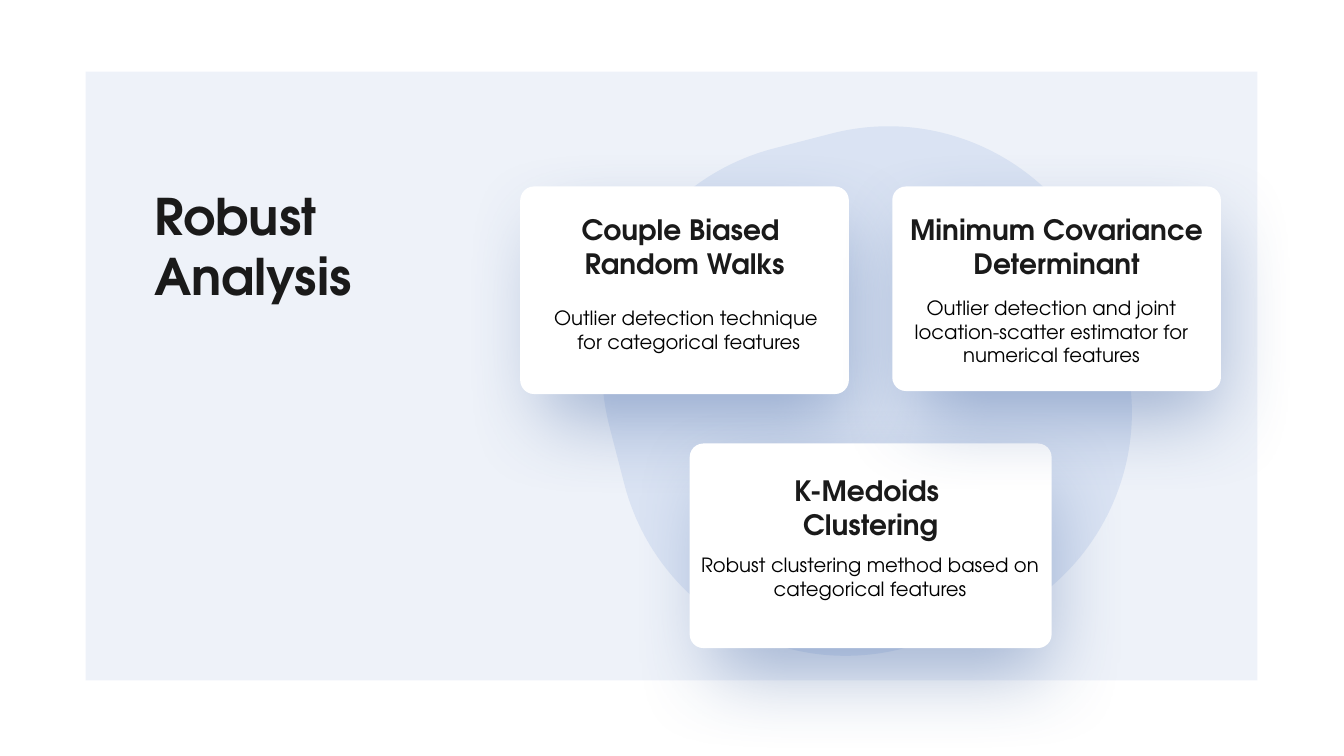
import pptx
import pptx.dml.color
import pptx.enum.shapes
import pptx.enum.text
import pptx.oxml
import pptx.oxml.ns
import pptx.util
from pptx.util import Inches

COLORS = {
    "panel": "4472C4",
    "blob": "DAE3F3",
    "card": "FFFFFF",
    "shadow": "2F5597",
    "heading": "1A1A1A",
    "body": "000000",
}
FONT = "TeX Gyre Adventor"
MIDDLE = pptx.enum.text.MSO_ANCHOR.MIDDLE
TOP = pptx.enum.text.MSO_ANCHOR.TOP
CENTER = pptx.enum.text.PP_ALIGN.CENTER
LEFT = pptx.enum.text.PP_ALIGN.LEFT
RGB = pptx.dml.color.RGBColor.from_string
NAMESPACE = pptx.oxml.ns.nsdecls("a")


def add_text(shapes, box, lines, size, color, bold, anchor, alignment):
    """Add a wrapped text box with one paragraph per line."""
    shape = shapes.add_textbox(*map(Inches, box))
    frame = shape.text_frame
    frame.word_wrap = True
    frame.auto_size = pptx.enum.text.MSO_AUTO_SIZE.SHAPE_TO_FIT_TEXT
    frame.vertical_anchor = anchor
    frame.text = "\n".join(lines)
    font_format = {"name": FONT, "size": pptx.util.Pt(size), "bold": bold}
    for paragraph in frame.paragraphs:
        paragraph.alignment = alignment
        font = paragraph.runs[0].font
        for name, value in font_format.items():
            setattr(font, name, value)
        font.color.rgb = RGB(COLORS[color])


def paint(shape, color):
    shape.shadow.inherit = False
    shape.fill.solid()
    shape.fill.fore_color.rgb = RGB(COLORS[color])
    shape.line.fill.background()


presentation = pptx.Presentation()
presentation.slide_width = Inches(13.33)
presentation.slide_height = Inches(7.5)
slide = presentation.slides.add_slide(presentation.slide_layouts[6])
shape_types = pptx.enum.shapes.MSO_SHAPE

# Pale panel
panel = slide.shapes.add_shape(
    shape_types.RECTANGLE, Inches(0.85), Inches(0.71), Inches(11.62), Inches(6.04))
paint(panel, "panel")
panel_color = panel.fill._xPr.find(".//" + pptx.oxml.ns.qn("a:srgbClr"))
panel_color.append(pptx.oxml.parse_xml(f'<a:alpha {NAMESPACE} val="9000"/>'))

# Blob: one Bezier corner, given from the centre, turned by 90 degrees four times
center_x, center_y = 8.6, 3.88
corner = [(0.37, 2.55), (-0.83, 2.87), (-2.07, 2.16), (-2.4, 0.95)]
outline = []
for turn in range(4):
    outline += [(Inches(center_x + x), Inches(center_y + y)) for x, y in corner]
    corner = [(-y, x) for x, y in corner]
builder = slide.shapes.build_freeform(*outline[0])
builder.add_line_segments(outline[1:], close=True)
blob = builder.convert_to_shape()
paint(blob, "blob")

# Each corner's three line segments become one curve
segments = list(blob._element.iter(pptx.oxml.ns.qn("a:lnTo")))
for start in range(0, len(segments), 4):
    curve = pptx.oxml.parse_xml(f"<a:cubicBezTo {NAMESPACE}/>")
    segments[start].addprevious(curve)
    for segment in segments[start:start + 3]:
        curve.append(segment[0])
        segment.getparent().remove(segment)

# Cards: card box, heading top and lines, body box and lines
cards = [
    ((5.16, 1.85, 3.26, 2.06), 2.06, ["Couple Biased ", "Random Walks"],
     (5.26, 2.99, 3.09, 0.57),
     ["Outlier detection technique", " for categorical features"]),
    ((6.84, 4.4, 3.59, 2.03), 4.65, ["K-Medoids ", "Clustering"],
     (6.84, 5.44, 3.58, 0.57),
     ["Robust clustering method based on categorical features"]),
    ((8.85, 1.85, 3.26, 2.03), 2.06, ["Minimum Covariance Determinant"],
     (8.8, 2.89, 3.26, 0.81),
     ["Outlier detection and joint location-scatter estimator for numerical features"]),
]
shadow_xml = (
    f'<a:outerShdw {NAMESPACE} blurRad="{pptx.util.Pt(58)}" dist="{pptx.util.Pt(34)}" '
    f'dir="{61 * 60000}" sx="92000" sy="92000" algn="tl" rotWithShape="0">'
    f'<a:srgbClr val="{COLORS["shadow"]}"><a:alpha val="40000"/></a:srgbClr></a:outerShdw>')
for card_box, heading_top, heading, body_box, body in cards:
    group = slide.shapes.add_group_shape()
    card = group.shapes.add_shape(shape_types.ROUNDED_RECTANGLE, *map(Inches, card_box))
    card.adjustments[0] = 0.067
    paint(card, "card")
    effects = card._element.spPr.find(pptx.oxml.ns.qn("a:effectLst"))
    effects.append(pptx.oxml.parse_xml(shadow_xml))
    left, _, width, _ = card_box
    add_text(group.shapes, (left, heading_top, width, 0.77), heading,
             20, "heading", True, MIDDLE, CENTER)
    add_text(group.shapes, body_box, body, 14, "body", False, TOP, CENTER)

add_text(slide.shapes, (1.43, 1.78, 3.2, 1.31), ["Robust", "Analysis"],
         36, "heading", True, MIDDLE, LEFT)

presentation.save("out.pptx")
